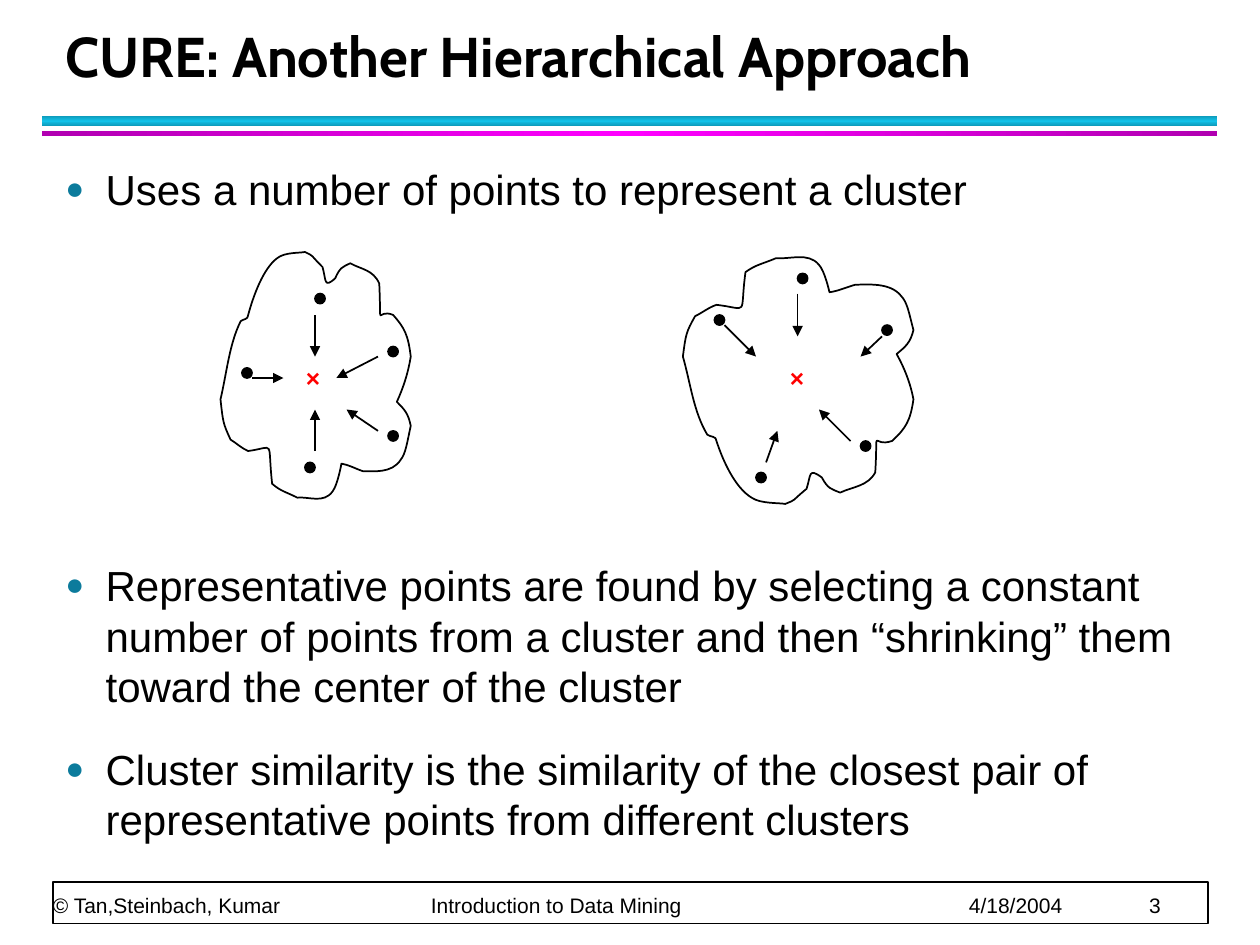
from copy import deepcopy
from lxml.etree import SubElement
from pptx import Presentation
from pptx.dml.color import RGBColor
from pptx.enum.shapes import MSO_CONNECTOR, MSO_SHAPE
from pptx.enum.text import MSO_ANCHOR
from pptx.oxml.ns import qn
from pptx.util import Inches, Pt

COLORS = {
    "black": RGBColor.from_string("000000"), "white": RGBColor.from_string("FFFFFF"),
    "red": RGBColor.from_string("FF0000"), "bullet": RGBColor.from_string("0C7B9C"),
    "cyan": RGBColor.from_string("12C2E9"), "dark cyan": RGBColor.from_string("0E9AB9"),
    "magenta": RGBColor.from_string("FF00FF"), "dark magenta": RGBColor.from_string("B100B1"),
}
FONTS = {
    "title": {"name": "Cabin", "size": Pt(32), "bold": True},
    "body": {"name": "Arial", "size": Pt(24)},
    "footer": {"name": "Arial", "size": Pt(12)},
    "cross": {"name": "Arial", "size": Pt(14), "bold": True},
}


def add_text(area, texts, style, color="black", anchor=MSO_ANCHOR.TOP, margins=(0.1, 0.05)):
    """Add a text box with one paragraph per text and return the paragraphs."""
    frame = slide.shapes.add_textbox(*map(Inches, area)).text_frame
    side, end = map(Inches, margins)
    frame_format = {
        "word_wrap": True, "vertical_anchor": anchor, "margin_left": side,
        "margin_right": side, "margin_top": end, "margin_bottom": end,
    }
    for name, value in frame_format.items():
        setattr(frame, name, value)
    for index, text in enumerate(texts):
        paragraph = frame.add_paragraph() if index else frame.paragraphs[0]
        run = paragraph.add_run()
        run.text = text
        for name, value in FONTS[style].items():
            setattr(run.font, name, value)
        run.font.color.rgb = COLORS[color]
    return frame.paragraphs


def outline_and_fill(shape, fill=None):
    """Give a shape a thin black line, no shadow and a plain fill or none."""
    shape.shadow.inherit = False
    shape.line.color.rgb = COLORS["black"]
    shape.line.width = Pt(1)
    if fill:
        shape.fill.solid()
        shape.fill.fore_color.rgb = COLORS[fill]
    else:
        shape.fill.background()


presentation = Presentation()
presentation.slide_width, presentation.slide_height = Inches(10), Inches(7.5)
slide = presentation.slides.add_slide(presentation.slide_layouts[6])

# Two gradient rules under the title, dark at both edges
for top, height, hue, angle in [(0.92, 0.08, "cyan", 90), (1.04, 0.04, "magenta", 0)]:
    rule = slide.shapes.add_shape(
        MSO_SHAPE.RECTANGLE, Inches(0.33), Inches(top), Inches(9.33), Inches(height))
    rule.shadow.inherit = False
    rule.line.fill.background()
    rule.fill.gradient()
    rule.fill.gradient_angle = angle
    stop_list = rule._element.spPr.find(".//" + qn("a:gsLst"))
    stop_list.append(deepcopy(stop_list[0]))
    stop_colors = ("dark " + hue, hue, "dark " + hue)
    for index, stop in enumerate(rule.fill.gradient_stops):
        stop.position = index / 2
        stop.color.rgb = COLORS[stop_colors[index]]

# Footer: a frame, and one line of text set out with tab stops
footer_frame = slide.shapes.add_shape(
    MSO_SHAPE.RECTANGLE, Inches(0.42), Inches(7), Inches(9.17), Inches(0.33))
outline_and_fill(footer_frame, "white")
footer = add_text(
    (0.42, 6.72, 9.15, 0.56),
    ["© Tan,Steinbach, Kumar\tIntroduction to Data Mining\t4/18/2004\t3"],
    "footer", anchor=MSO_ANCHOR.BOTTOM, margins=(0, 0))[0]
tab_list = SubElement(footer._p.get_or_add_pPr(), qn("a:tabLst"))
for position in (3, 7.27, 8.7):
    SubElement(tab_list, qn("a:tab"), pos=str(Inches(position)), algn="l")
footer.line_spacing = Pt(20)

title = add_text((0.42, 0.17, 9.06, 0.58), ["CURE: Another Hierarchical Approach"],
                 "title", anchor=MSO_ANCHOR.BOTTOM)[0]
title.line_spacing = Pt(36)

# Body: the large gap after the first bullet leaves room for the clusters
bullets = add_text((0.42, 1.25, 9.1, 5.67), [
    "Uses a number of points to represent a cluster",
    "Representative points are found by selecting a constant number of points "
    "from a cluster and then “shrinking” them toward the center of the cluster",
    "Cluster similarity is the similarity of the closest pair of "
    "representative points from different clusters",
], "body")
for paragraph, gap in zip(bullets, (0, 197.5, 18.5)):
    properties = paragraph._p.get_or_add_pPr()
    properties.set("marL", str(Inches(0.32)))
    properties.set("indent", str(-Inches(0.32)))
    bullet_color = SubElement(properties, qn("a:buClr"))
    SubElement(bullet_color, qn("a:srgbClr"), val=str(COLORS["bullet"]))
    SubElement(properties, qn("a:buSzPct"), val="75000")
    SubElement(properties, qn("a:buFont"), typeface="Arial")
    SubElement(properties, qn("a:buChar"), char="●")
    if gap:
        paragraph.space_before = Pt(gap)

# Cluster outline, counterclockwise from the upper left.
# Each curve is (handle, handle, end) and starts where the one before it ends.
OUTLINE_START = (1.91, 2.55)
OUTLINE_PARTS = {
    "left side": [((1.82, 2.73), (1.8, 2.96), (1.75, 3.17)),
                  ((1.77, 3.35), (1.77, 3.36), (1.83, 3.49))],
    "lower left step": [((1.88, 3.52), (1.92, 3.56), (1.97, 3.58)),
                        ((2.19, 3.55), (2.12, 3.48), (2.16, 3.84))],
    "bottom lobe": [((2.23, 3.9), (2.26, 3.9), (2.36, 3.95)),
                    ((2.45, 3.94), (2.57, 4), (2.64, 3.9)),
                    ((2.68, 3.85), (2.71, 3.68), (2.71, 3.68))],
    "lower right lobe": [((2.77, 3.69), (2.82, 3.72), (2.88, 3.74)),
                         ((2.96, 3.74), (3.11, 3.76), (3.18, 3.65)),
                         ((3.22, 3.6), (3.23, 3.52), (3.26, 3.38)),
                         ((3.24, 3.28), (3.21, 3.25), (3.15, 3.19))],
    "right lobe": [((3.2, 3.08), (3.24, 2.96), (3.26, 2.83)),
                   ((3.24, 2.66), (3.21, 2.6), (3.12, 2.5)),
                   ((2.98, 2.44), (3.03, 2.65), (3.01, 2.25))],
    "upper right lobe": [((2.96, 2.14), (2.87, 2.14), (2.78, 2.09)),
                         ((2.72, 2.12), (2.7, 2.12), (2.66, 2.21))],
    "top notch": [((2.57, 2.29), (2.59, 2.23), (2.56, 2.12))],
    "top lobe": [((2.45, 2.01), (2.5, 2.04), (2.42, 2)),
                 ((2.38, 2.01), (2.26, 2), (2.2, 2.05)),
                 ((2.09, 2.13), (2.01, 2.35), (1.97, 2.5)),
                 ((1.97, 2.54), (1.93, 2.53), OUTLINE_START)],
}
first_outline = [OUTLINE_START] + [
    node for curves in OUTLINE_PARTS.values() for curve in curves for node in curve]
# The second outline is the first one upside down and stretched sideways
stretch = 1.83 / 1.51
second_outline = [(5.42 + (x - 1.75) * stretch, 6 - y) for x, y in first_outline]

# Each representative point is (left, top of its dot), (arrow start), (arrow end)
clusters = [
    {"outline": first_outline, "cross left": 2.33, "representatives": [
        ((2.5, 2.33), (2.5, 2.5), (2.5, 2.83)),
        ((3.08, 2.75), (3, 2.83), (2.67, 3)),
        ((3.08, 3.42), (3, 3.42), (2.75, 3.25)),
        ((2.42, 3.67), (2.5, 3.58), (2.5, 3.25)),
        ((1.92, 2.92), (2, 3), (2.25, 3))]},
    {"outline": second_outline, "cross left": 6.17, "representatives": [
        ((6.33, 2.17), (6.33, 2.33), (6.33, 2.67)),
        ((5.67, 2.5), (5.75, 2.58), (6, 2.83)),
        ((7, 2.58), (7, 2.67), (6.83, 2.83)),
        ((6.83, 3.5), (6.75, 3.5), (6.5, 3.25)),
        ((6, 3.75), (6.08, 3.67), (6.17, 3.42))]},
]
for cluster in clusters:
    start, *nodes = [(Inches(x), Inches(y)) for x, y in cluster["outline"]]
    builder = slide.shapes.build_freeform(*start)
    builder.add_line_segments(nodes, close=True)
    outline = builder.convert_to_shape()
    outline_and_fill(outline)
    # Turn every three straight segments into one Bézier curve
    segments = outline._element.findall(".//" + qn("a:lnTo"))
    for index in range(0, len(segments), 3):
        curve, *others = segments[index:index + 3]
        curve.tag = qn("a:cubicBezTo")
        for segment in others:
            curve.append(segment[0])
            segment.getparent().remove(segment)

    for dot_corner, arrow_start, arrow_end in cluster["representatives"]:
        dot = slide.shapes.add_shape(
            MSO_SHAPE.OVAL, *map(Inches, dot_corner), Inches(0.08), Inches(0.08))
        outline_and_fill(dot, "black")
        arrow = slide.shapes.add_connector(
            MSO_CONNECTOR.STRAIGHT, *map(Inches, arrow_start + arrow_end))
        arrow.line.color.rgb = COLORS["black"]
        arrow.line.width = Pt(1)
        line_properties = arrow._element.spPr.find(qn("a:ln"))
        SubElement(line_properties, qn("a:tailEnd"), type="triangle")
        SubElement(arrow._element.spPr, qn("a:effectLst"))

    add_text((cluster["cross left"], 2.83, 0.25, 0.34), ["×"], "cross", "red")

presentation.save("out.pptx")
